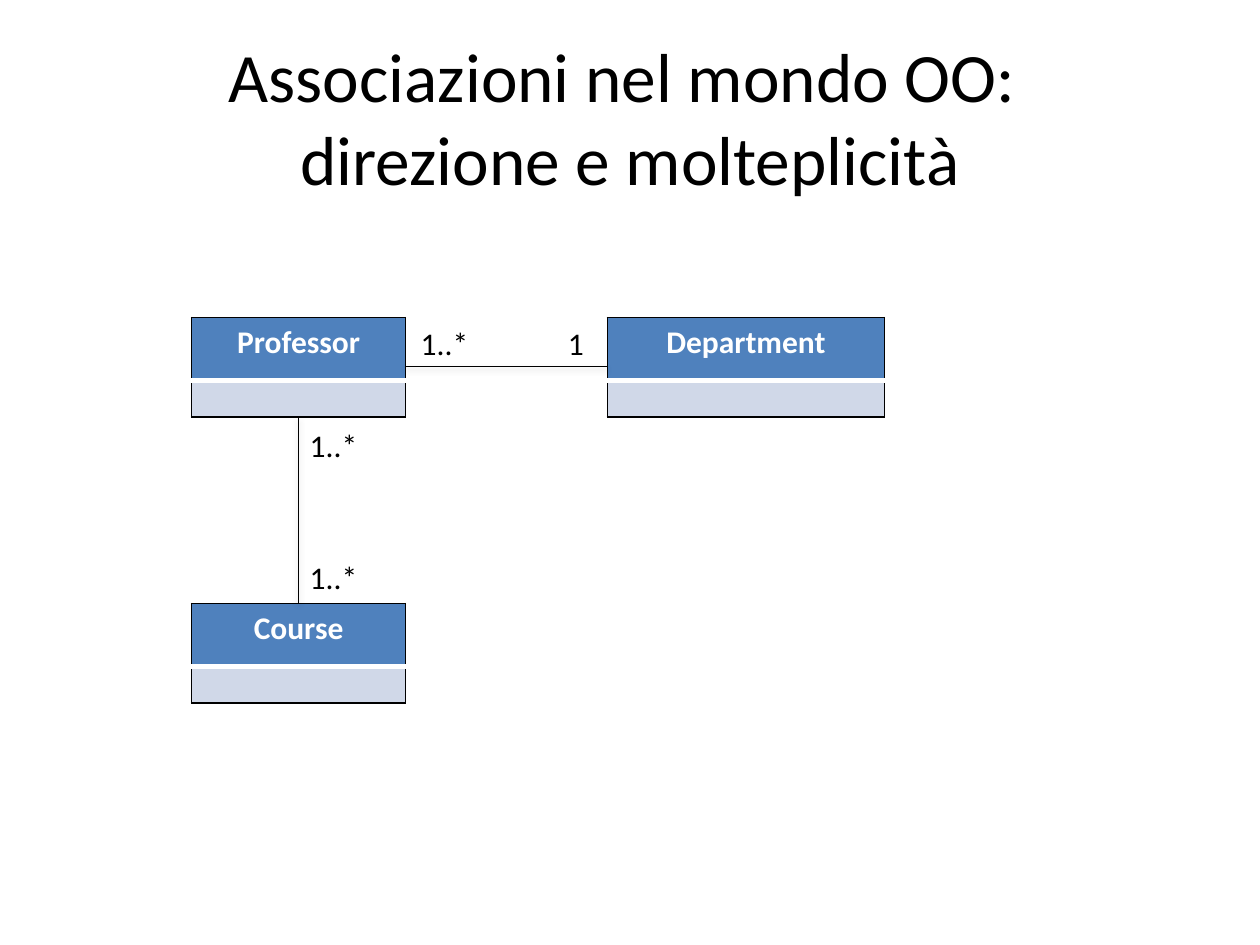
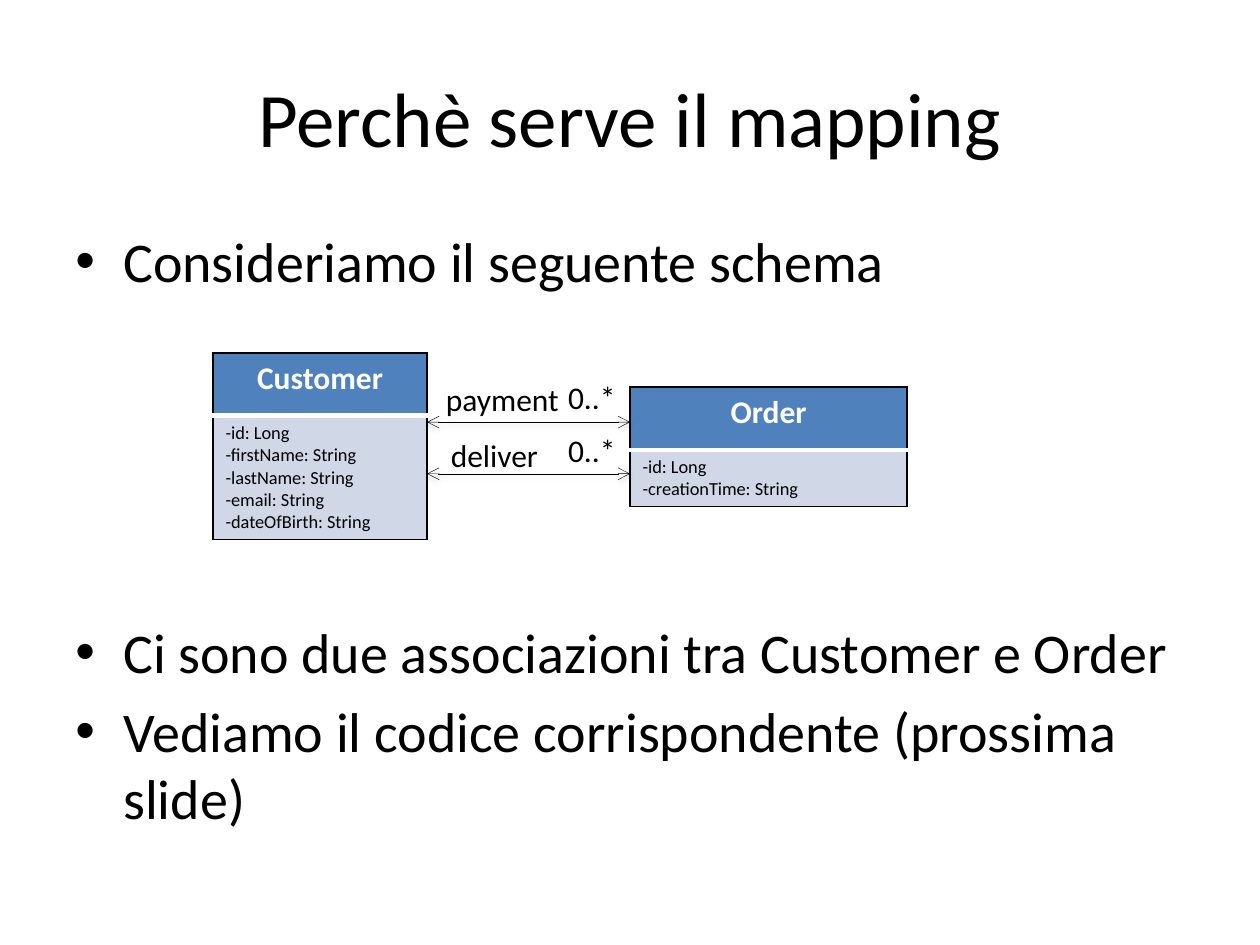
"""Build two slides on class associations and why mapping is needed."""
from dataclasses import dataclass

from lxml import etree
from pptx import Presentation
from pptx.dml.color import RGBColor
from pptx.enum.shapes import MSO_CONNECTOR
from pptx.enum.text import MSO_ANCHOR, MSO_AUTO_SIZE, PP_ALIGN
from pptx.oxml import parse_xml
from pptx.oxml.ns import nsdecls, qn
from pptx.util import Pt

PX = 9144
CENTER, LEFT = PP_ALIGN.CENTER, PP_ALIGN.LEFT
MIDDLE, TOP = MSO_ANCHOR.MIDDLE, MSO_ANCHOR.TOP
GROW = MSO_AUTO_SIZE.SHAPE_TO_FIT_TEXT
STRAIGHT = MSO_CONNECTOR.STRAIGHT


@dataclass(frozen=True)
class Theme:
    font: str = "Calibri"
    ink: str = "000000"
    paper: str = "FFFFFF"
    header: str = "4F81BD"
    members: str = "D0D8E8"
    title_size: float = 44
    long_title_size: float = 39.6
    body_size: float = 32
    label_size: float = 18
    member_size: float = 10.5
    line_width: float = 0.25


THEME = Theme()
HEADER_HEIGHT = 50
TITLE_BOX = (50, 30, 900, 125)
BODY_BOX = (50, 175, 900, 495)
LABEL_HEIGHT = 40
SHADOW = (
    f'<a:effectLst {nsdecls("a")}><a:outerShdw blurRad="40000" dist="20000" dir="5400000" rotWithShape="0">'
    f'<a:srgbClr val="{THEME.ink}"><a:alpha val="38000"/></a:srgbClr></a:outerShdw></a:effectLst>'
)


def write(paragraph, text, size, color=THEME.ink, bold=False, align=LEFT):
    paragraph.alignment = align
    for index, line in enumerate(text.split("\n")):
        if index:
            paragraph.add_line_break()
        run = paragraph.add_run()
        run.text = line
        run.font.name = THEME.font
        run.font.size = Pt(size)
        run.font.bold = bold
        run.font.color.rgb = RGBColor.from_string(color)


def add_text_frame(slide, box, anchor=TOP, wrap=True):
    frame = slide.shapes.add_textbox(*(length * PX for length in box)).text_frame
    frame.word_wrap = wrap
    frame.vertical_anchor = anchor
    if not wrap:
        frame.auto_size = GROW
    return frame


SLIDES = [
    {
        "title": ("Associazioni nel mondo OO: \ndirezione e molteplicità", THEME.long_title_size),
        "bullets": [],
        "classes": [
            ("Professor", (152, 252, 170, 79), []),
            ("Department", (482, 252, 220, 79), []),
            ("Course", (152, 479, 170, 79), []),
        ],
        "associations": [(322, 291, 482, 291), (237, 331, 237, 479)],
        "arrows": False,
        "labels": [("1..*", 236, 438, 58), ("1..*", 236, 333, 58), ("1", 441, 252, 33), ("1..*", 324, 252, 58)],
    },
    {
        "title": ("Perchè serve il mapping", THEME.title_size),
        "bullets": [
            ("Consideriamo il seguente schema", 0),
            ("Ci sono due associazioni tra Customer e Order", 185),
            ("Vediamo il codice corrispondente (prossima slide)", 6.4),
        ],
        "classes": [
            ("Customer", (169, 280, 170, 148),
             ["-id: Long", "-firstName: String", "-lastName: String", "-email: String", "-dateOfBirth: String"]),
            ("Order", (500, 307, 220, 95), ["-id: Long", "-creationTime: String"]),
        ],
        "associations": [(339, 335, 500, 335), (339, 376, 500, 376)],
        "arrows": True,
        "labels": [("0..*", 441, 295, 58), ("0..*", 441, 337, 58), ("payment", 344, 297, 111), ("deliver", 348, 341, 90)],
    },
]

presentation = Presentation()
presentation.slide_width = 1000 * PX
presentation.slide_height = 750 * PX

for content in SLIDES:
    slide = presentation.slides.add_slide(presentation.slide_layouts[6])
    slide.background.fill.solid()
    slide.background.fill.fore_color.rgb = RGBColor.from_string(THEME.paper)

    title, title_size = content["title"]
    write(add_text_frame(slide, TITLE_BOX, MIDDLE).paragraphs[0], title, title_size, align=CENTER)

    if content["bullets"]:
        body = add_text_frame(slide, BODY_BOX)
        for index, (text, space_before) in enumerate(content["bullets"]):
            paragraph = body.add_paragraph() if index else body.paragraphs[0]
            properties = paragraph._p.get_or_add_pPr()
            properties.set("marL", str(38 * PX))
            properties.set("indent", str(-38 * PX))
            paragraph.space_before = Pt(space_before)
            etree.SubElement(properties, qn("a:buFont"), typeface="Arial")
            etree.SubElement(properties, qn("a:buChar"), char="•")
            write(paragraph, text, THEME.body_size)

    for name, box, members in content["classes"]:
        table = slide.shapes.add_table(2, 1, *(length * PX for length in box)).table
        table.first_row = table.horz_banding = False
        table.rows[0].height = HEADER_HEIGHT * PX
        table.rows[1].height = (box[3] - HEADER_HEIGHT) * PX
        header, member_cell = table.cell(0, 0), table.cell(1, 0)
        write(header.text_frame.paragraphs[0], name, THEME.label_size, THEME.paper, True, CENTER)
        frame = member_cell.text_frame
        for index, member in enumerate(members):
            paragraph = frame.add_paragraph() if index else frame.paragraphs[0]
            write(paragraph, member, THEME.member_size)
        if not members:
            etree.SubElement(frame.paragraphs[0]._p, qn("a:endParaRPr"), sz=str(int(THEME.member_size * 100)))

        outer = (THEME.ink, 1)
        for cell, fill, top, bottom in (
            (header, THEME.header, outer, (THEME.paper, 3)),
            (member_cell, THEME.members, (THEME.paper, 3), outer),
        ):
            cell.fill.solid()
            cell.fill.fore_color.rgb = RGBColor.from_string(fill)
            borders = zip("LRTB", (outer, outer, top, bottom))
            for index, (side, (color, width)) in enumerate(borders):
                border = parse_xml(
                    f'<a:ln{side} {nsdecls("a")} w="{Pt(width)}"><a:solidFill>'
                    f'<a:srgbClr val="{color}"/></a:solidFill></a:ln{side}>'
                )
                cell._tc.get_or_add_tcPr().insert(index, border)

    for ends in content["associations"]:
        connector = slide.shapes.add_connector(STRAIGHT, *(length * PX for length in ends))
        connector.line.width = Pt(THEME.line_width)
        connector.line.color.rgb = RGBColor.from_string(THEME.ink)
        properties = connector._element.spPr
        if content["arrows"]:
            for end in ("a:headEnd", "a:tailEnd"):
                etree.SubElement(properties.find(qn("a:ln")), qn(end), type="arrow")
        properties.append(parse_xml(SHADOW))

    for text, left, top, width in content["labels"]:
        label = add_text_frame(slide, (left, top, width, LABEL_HEIGHT), wrap=False)
        write(label.paragraphs[0], text, THEME.label_size)

presentation.save("out.pptx")
